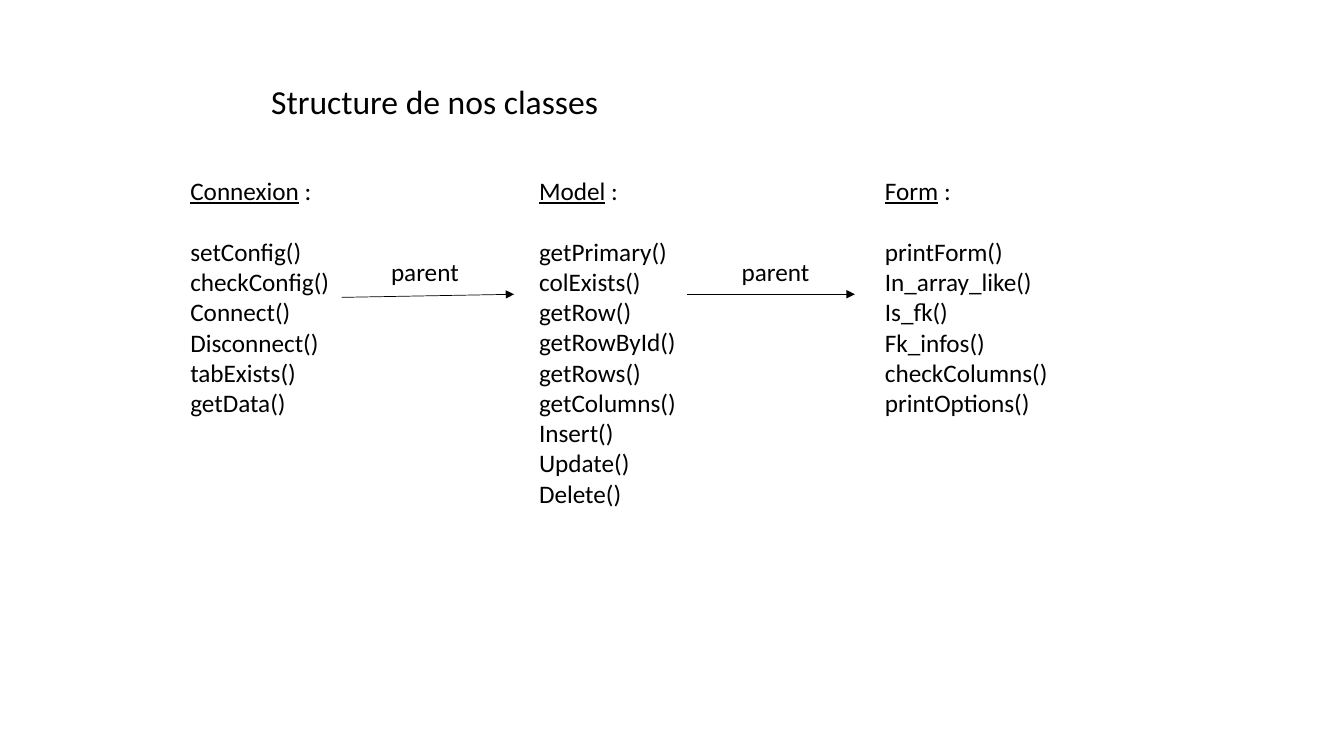
import pptx
import pptx.util
import pptx.dml.color
import pptx.enum.shapes
import pptx.enum.text
import pptx.oxml
import pptx.oxml.ns

Pt = pptx.util.Pt
BLACK = pptx.dml.color.RGBColor(0, 0, 0)
RIGHT_SIDE = 3


class ClassSlide:
    """Holds the text style and the slide being built."""

    frame_format = {
        "word_wrap": False,
        "auto_size": pptx.enum.text.MSO_AUTO_SIZE.SHAPE_TO_FIT_TEXT,
        "vertical_anchor": pptx.enum.text.MSO_ANCHOR.TOP,
        "margin_left": Pt(7.2), "margin_right": Pt(7.2),
        "margin_top": Pt(3.6), "margin_bottom": Pt(3.6),
    }
    body_size = 18
    heading_gap = 21.8

    def __init__(self, deck):
        self.slide = deck.slides.add_slide(deck.slide_layouts[5])

    def format_frame(self, frame):
        for name, value in self.frame_format.items():
            setattr(frame, name, value)

    def add_text(self, paragraph, text, size=body_size, underline=False):
        paragraph.alignment = pptx.enum.text.PP_ALIGN.LEFT
        run = paragraph.add_run()
        run.text = text
        font_format = {"name": "Calibri", "size": Pt(size), "underline": underline}
        for name, value in font_format.items():
            setattr(run.font, name, value)
        run.font.color.rgb = BLACK

    def title(self, text, left, top, width, height, size):
        heading = self.slide.shapes.title
        place = {"left": left, "top": top, "width": width, "height": height}
        for name, value in place.items():
            setattr(heading, name, Pt(value))
        self.format_frame(heading.text_frame)
        self.add_text(heading.text_frame.paragraphs[0], text, size)

    def text_box(self, left, top, width, height):
        box = self.slide.shapes.add_textbox(Pt(left), Pt(top), Pt(width), Pt(height))
        self.format_frame(box.text_frame)
        return box

    def label(self, text, *place):
        self.add_text(self.text_box(*place).text_frame.paragraphs[0], text)

    def class_list(self, class_name, methods, *place):
        box = self.text_box(*place)
        heading = box.text_frame.paragraphs[0]
        self.add_text(heading, class_name, underline=True)
        self.add_text(heading, " :")
        heading.space_after = Pt(self.heading_gap)
        for method in methods:
            self.add_text(box.text_frame.add_paragraph(), method + "()")
        return box

    def arrow(self, x1, y1, x2, y2):
        link = self.slide.shapes.add_connector(
            pptx.enum.shapes.MSO_CONNECTOR.STRAIGHT, Pt(x1), Pt(y1), Pt(x2), Pt(y2))
        link.line.color.rgb = BLACK
        link.line.width = Pt(0.5)
        head = pptx.oxml.parse_xml(
            '<a:tailEnd xmlns:a="http://schemas.openxmlformats.org/drawingml/2006/main"'
            ' type="triangle"/>')
        outline = link.line.fill._xPr
        outline.append(head)
        outline.addnext(outline.makeelement(pptx.oxml.ns.qn("a:effectLst")))
        return link


def main():
    deck = pptx.Presentation()
    deck.slide_width, deck.slide_height = Pt(960), Pt(540)
    page = ClassSlide(deck)

    # Title
    page.title("Structure de nos classes", 186.5, 54, 250.6, 36, 24)

    # Classes with their methods: left, width, height, method names
    classes = {
        "Connexion": (128.9, 115.2, 181.4, [
            "setConfig", "checkConfig", "Connect", "Disconnect", "tabExists", "getData"]),
        "Model": (378, 113, 247, [
            "getPrimary", "colExists", "getRow", "getRowById", "getRows",
            "getColumns", "Insert", "Update", "Delete"]),
        "Form": (625, 132.5, 181.4, [
            "printForm", "In_array_like", "Is_fk", "Fk_infos",
            "checkColumns", "printOptions"]),
    }
    lists = {}
    for class_name, (left, width, height, methods) in classes.items():
        lists[class_name] = page.class_list(
            class_name, methods, left, 121.7, width, height)

    # Inheritance arrows
    connexion_to_model = page.arrow(244.1, 212.4, 367.2, 210.2)
    connexion_to_model.begin_connect(lists["Connexion"], RIGHT_SIDE)
    page.arrow(491, 210.2, 610.6, 210.2)

    # Arrow labels
    for left in (272.2, 522.7):
        page.label("parent", left, 179.3, 63.4, 29)

    deck.save("out.pptx")


if __name__ == "__main__":
    main()
